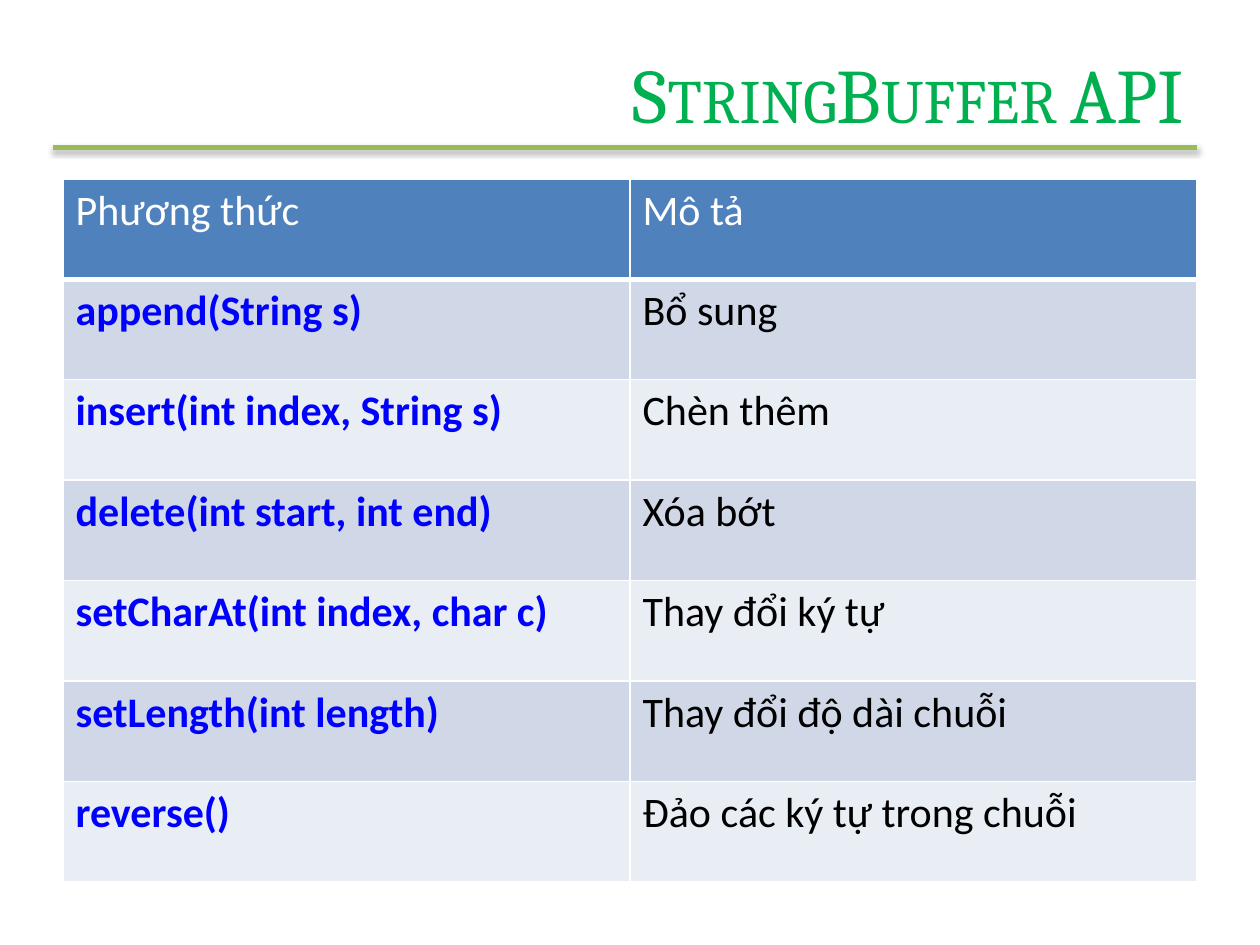
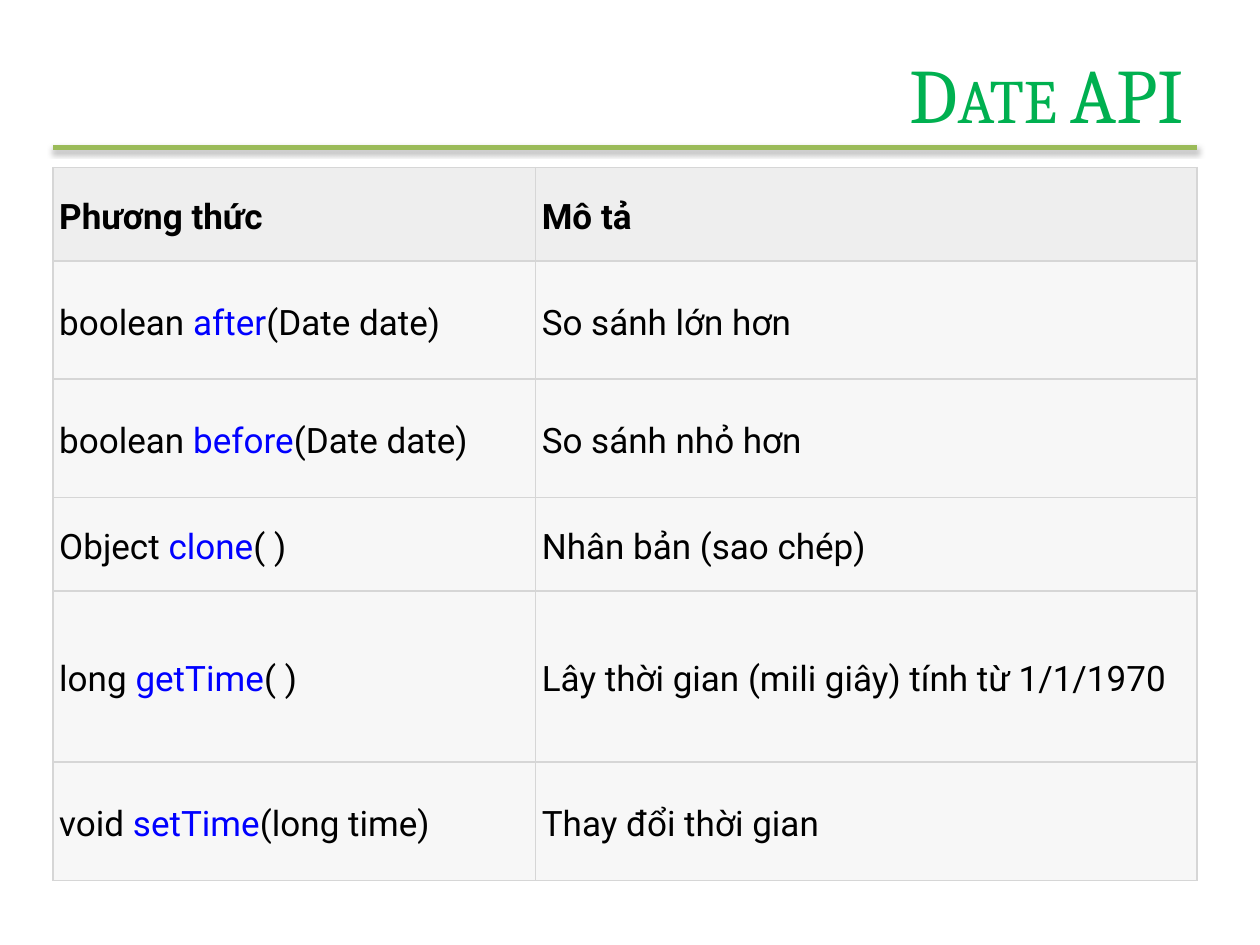
import pptx
import pptx.dml.color
import pptx.enum.shapes
import pptx.enum.text
import pptx.oxml
import pptx.oxml.ns
import pptx.util
from pptx.util import Inches

COLORS = {
    "title": "00B050", "rule": "9BBB59", "method": "0000FF",
    "text": "000000", "white": "FFFFFF", "header": "4F81BD",
    "band_dark": "D0D8E8", "band_light": "E9EDF4",
    "grid": "D6D6D6", "gray_header": "EEEEEE", "gray_body": "F7F7F7",
}

# Content: a cell is a list of (text, colour name) runs
HEADERS = ("Phương thức", "Mô tả")
STRING_BUFFER_METHODS = [
    ("append(String s)", "Bổ sung"),
    ("insert(int index, String s)", "Chèn thêm"),
    ("delete(int start, int end)", "Xóa bớt"),
    ("setCharAt(int index, char c)", "Thay đổi ký tự"),
    ("setLength(int length)", "Thay đổi độ dài chuỗi"),
    ("reverse()", "Đảo các ký tự trong chuỗi"),
]
DATE_METHODS = [
    ("boolean ", "after", "(Date date)", "So sánh lớn hơn"),
    ("boolean ", "before", "(Date date)", "So sánh nhỏ hơn"),
    ("Object ", "clone", "( )", "Nhân bản (sao chép)"),
    ("long ", "getTime", "( )", "Lây thời gian (mili giây) tính từ 1/1/1970"),
    ("void ", "setTime", "(long time)", "Thay đổi thời gian"),
]

# Shared frame of both slides
RULE_LEFT, RIGHT_EDGE, RULE_TOP = 0.42, 9.5, 1.17
TITLE_LEFT, TITLE_TOP = 1.45, 0.3


def rgb(name):
    return pptx.dml.color.RGBColor.from_string(COLORS[name])


def add_xml(parent, xml):
    namespace = pptx.oxml.ns.nsdecls("a")
    parent.append(pptx.oxml.parse_xml(xml.replace(">", f" {namespace}>", 1)))


def add_titled_slide(presentation, title):
    slide = presentation.slides.add_slide(presentation.slide_layouts[5])

    # Green rule with a soft shadow below
    rule = slide.shapes.add_connector(
        pptx.enum.shapes.MSO_CONNECTOR.STRAIGHT,
        Inches(RULE_LEFT), Inches(RULE_TOP), Inches(RIGHT_EDGE), Inches(RULE_TOP))
    rule.line.color.rgb = rgb("rule")
    rule.line.width = pptx.util.Pt(3)
    add_xml(rule._element.spPr, f"""<a:effectLst>
        <a:outerShdw blurRad="{pptx.util.Pt(3.1)}" dist="{pptx.util.Pt(1.8)}"
            dir="5400000" rotWithShape="0">
          <a:srgbClr val="{COLORS['text']}"><a:alpha val="35000"/></a:srgbClr>
        </a:outerShdw></a:effectLst>""")

    # Title in small capitals
    shape = slide.shapes.title
    shape.left, shape.top = Inches(TITLE_LEFT), Inches(TITLE_TOP)
    shape.width = Inches(RIGHT_EDGE - TITLE_LEFT)
    shape.height = Inches(RULE_TOP - TITLE_TOP)
    shape.text_frame.text = title
    shape.text_frame.vertical_anchor = pptx.enum.text.MSO_ANCHOR.MIDDLE
    paragraph = shape.text_frame.paragraphs[0]
    paragraph.alignment = pptx.enum.text.PP_ALIGN.RIGHT
    font = paragraph.runs[0].font
    font.name, font.size = "Cambria", pptx.util.Pt(44)
    font.color.rgb = rgb("title")
    font._element.set("cap", "small")
    return slide


def set_borders(cell, color, bottom_width):
    properties = cell._tc.get_or_add_tcPr()
    for side, width in (("L", 1), ("R", 1), ("T", 1), ("B", bottom_width)):
        add_xml(properties, f"""<a:ln{side}>
            <a:solidFill><a:srgbClr val="{COLORS[color]}"/></a:solidFill>
            </a:ln{side}>""")
        properties[-1].set("w", str(pptx.util.Pt(width)))


def add_method_table(slide, left, top, widths, heights, rows, fills, border,
                     font_name, font_size, is_bold, header_bottom=1,
                     margin=None, line_spacing=None):
    table = slide.shapes.add_table(
        len(rows), len(widths), Inches(left), Inches(top),
        Inches(sum(widths)), Inches(sum(heights))).table
    table.first_row = table.horz_banding = False
    for column, width in zip(table.columns, widths):
        column.width = Inches(width)
    for row_index, (row, height) in enumerate(zip(rows, heights)):
        table.rows[row_index].height = Inches(height)
        for column_index, runs in enumerate(row):
            cell = table.cell(row_index, column_index)
            set_borders(cell, border, 1 if row_index else header_bottom)
            cell.fill.solid()
            cell.fill.fore_color.rgb = rgb(fills[row_index])
            if margin:
                cell.margin_left = cell.margin_right = Inches(margin)
                cell.margin_top = cell.margin_bottom = Inches(margin)
                cell.vertical_anchor = pptx.enum.text.MSO_ANCHOR.MIDDLE
            paragraph = cell.text_frame.paragraphs[0]
            paragraph.line_spacing = line_spacing
            paragraph.font.name = font_name
            paragraph.font.size = pptx.util.Pt(font_size)
            paragraph.font.bold = is_bold(row_index, column_index)
            for text, color in runs:
                run = paragraph.add_run()
                run.text = text
                # Runs repeat the paragraph font so that every viewer applies it
                run.font.name, run.font.size = font_name, paragraph.font.size
                run.font.bold = paragraph.font.bold
                run.font.color.rgb = rgb(color)


def header_row(color):
    return [[(header, color)] for header in HEADERS]


def main():
    presentation = pptx.Presentation()
    presentation.slide_width, presentation.slide_height = Inches(10), Inches(7.5)

    # StringBuffer methods on a banded blue table
    rows = [header_row("white")] + [
        [[(method, "method")], [(description, "text")]]
        for method, description in STRING_BUFFER_METHODS]
    add_method_table(
        add_titled_slide(presentation, "StringBuffer API"), 0.5, 1.42,
        widths=[4.5, 4.5], heights=[5.58 / len(rows)] * len(rows), rows=rows,
        fills=["header"] + ["band_dark", "band_light"] * 3, border="white",
        font_name="Calibri", font_size=24, header_bottom=3,
        is_bold=lambda row, column: row > 0 and column == 0)

    # Date methods on a gray grid
    rows = [header_row("text")] + [
        [[(result, "text"), (method, "method"), (arguments, "text")],
         [(description, "text")]]
        for result, method, arguments, description in DATE_METHODS]
    add_method_table(
        add_titled_slide(presentation, "Date API"), RULE_LEFT, 1.33,
        widths=[3.83, 5.25], heights=[0.74, 0.94, 0.94, 0.74, 1.36, 0.94],
        rows=rows, fills=["gray_header"] + ["gray_body"] * len(DATE_METHODS),
        border="grid", font_name="Roboto", font_size=20, margin=0.05,
        line_spacing=1.15, is_bold=lambda row, column: row == 0)

    presentation.save("out.pptx")


if __name__ == "__main__":
    main()
